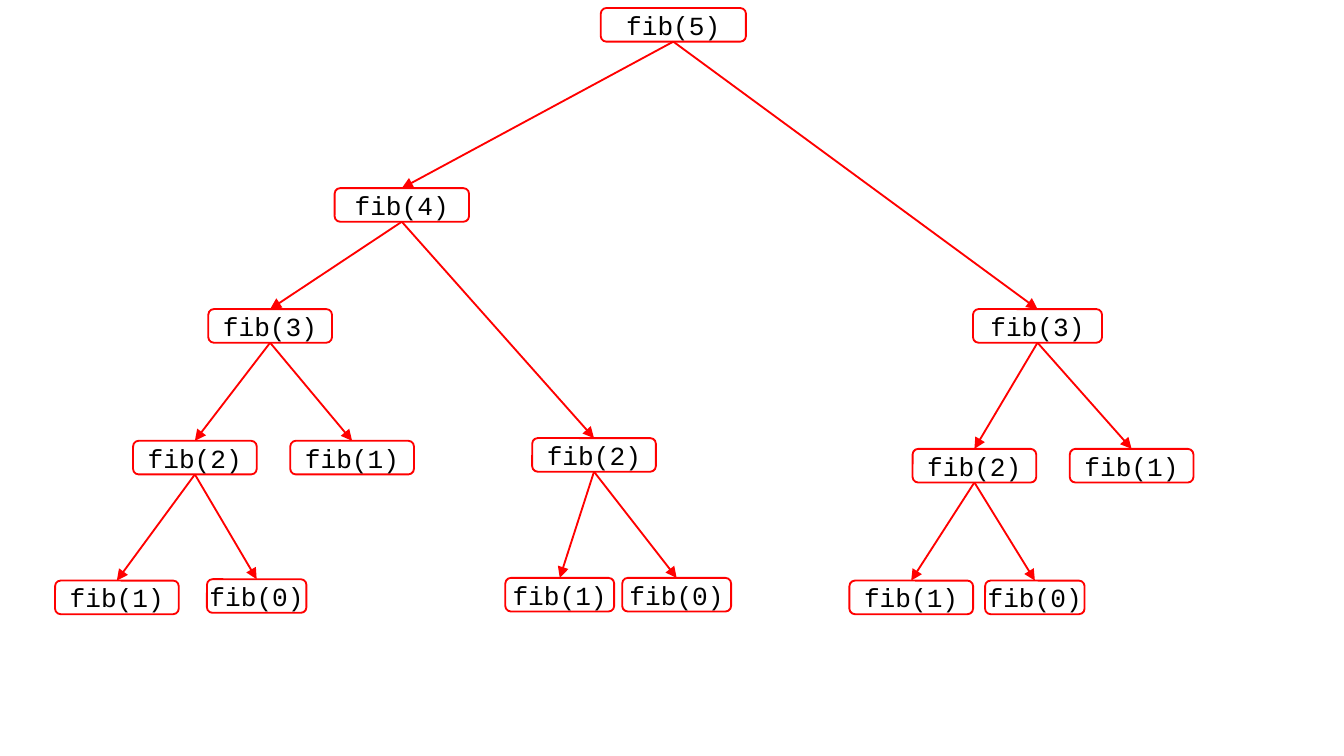
from lxml import etree
from pptx import Presentation
from pptx.dml.color import RGBColor
from pptx.enum import shapes, text
from pptx.oxml import ns
from pptx.util import Inches, Pt

RED = RGBColor(0xFF, 0x00, 0x00)
BLACK = RGBColor(0x00, 0x00, 0x00)
CALL_HEIGHT = 0.25

# key: (argument, left, top, width, key of the caller)
calls = {
    "root": (5, 4.47, 0.06, 1.08, None),
    "L": (4, 2.49, 1.4, 1, "root"),
    "R": (3, 7.24, 2.3, 0.96, "root"),
    "LL": (3, 1.55, 2.3, 0.92, "L"),
    "LR": (2, 3.96, 3.26, 0.92, "L"),
    "LLL": (2, 0.99, 3.28, 0.92, "LL"),
    "LLR": (1, 2.16, 3.28, 0.92, "LL"),
    "LLLL": (1, 0.41, 4.32, 0.92, "LLL"),
    "LLLR": (0, 1.54, 4.31, 0.74, "LLL"),
    "LRL": (1, 3.76, 4.3, 0.81, "LR"),
    "LRR": (0, 4.63, 4.3, 0.81, "LR"),
    "RL": (2, 6.79, 3.34, 0.92, "R"),
    "RR": (1, 7.96, 3.34, 0.92, "R"),
    "RLL": (1, 6.32, 4.32, 0.92, "RL"),
    "RLR": (0, 7.33, 4.32, 0.74, "RL"),
}

prs = Presentation()
prs.slide_width = Inches(10)
prs.slide_height = Inches(10 * 9 / 16)
slide = prs.slides.add_slide(prs.slide_layouts[6])

nodes = {}
for key, (argument, left, top, width, caller) in calls.items():
    node = slide.shapes.add_shape(
        shapes.MSO_SHAPE.ROUNDED_RECTANGLE,
        Inches(left), Inches(top), Inches(width), Inches(CALL_HEIGHT))
    node.shadow.inherit = False
    node.fill.background()
    node.line.color.rgb = RED
    node.line.width = Pt(1)
    frame = node.text_frame
    frame.text = f"fib({argument})"
    frame.word_wrap = False
    frame.vertical_anchor = text.MSO_ANCHOR.MIDDLE
    label = frame.paragraphs[0]
    label.alignment = text.PP_ALIGN.CENTER
    font = label.runs[0].font
    font.name = "Courier New"
    font.size = Pt(14)
    font.color.rgb = BLACK
    nodes[key] = node

for key, (argument, left, top, width, caller) in calls.items():
    if caller is None:
        continue
    arrow = slide.shapes.add_connector(shapes.MSO_CONNECTOR.STRAIGHT, 0, 0, 0, 0)
    arrow.begin_connect(nodes[caller], 2)
    arrow.end_connect(nodes[key], 0)
    arrow.line.color.rgb = RED
    arrow.line.width = Pt(1)
    properties = arrow._element.spPr
    etree.SubElement(properties.find(ns.qn("a:ln")), ns.qn("a:tailEnd"), type="triangle")
    etree.SubElement(properties, ns.qn("a:effectLst"))

prs.save("out.pptx")
